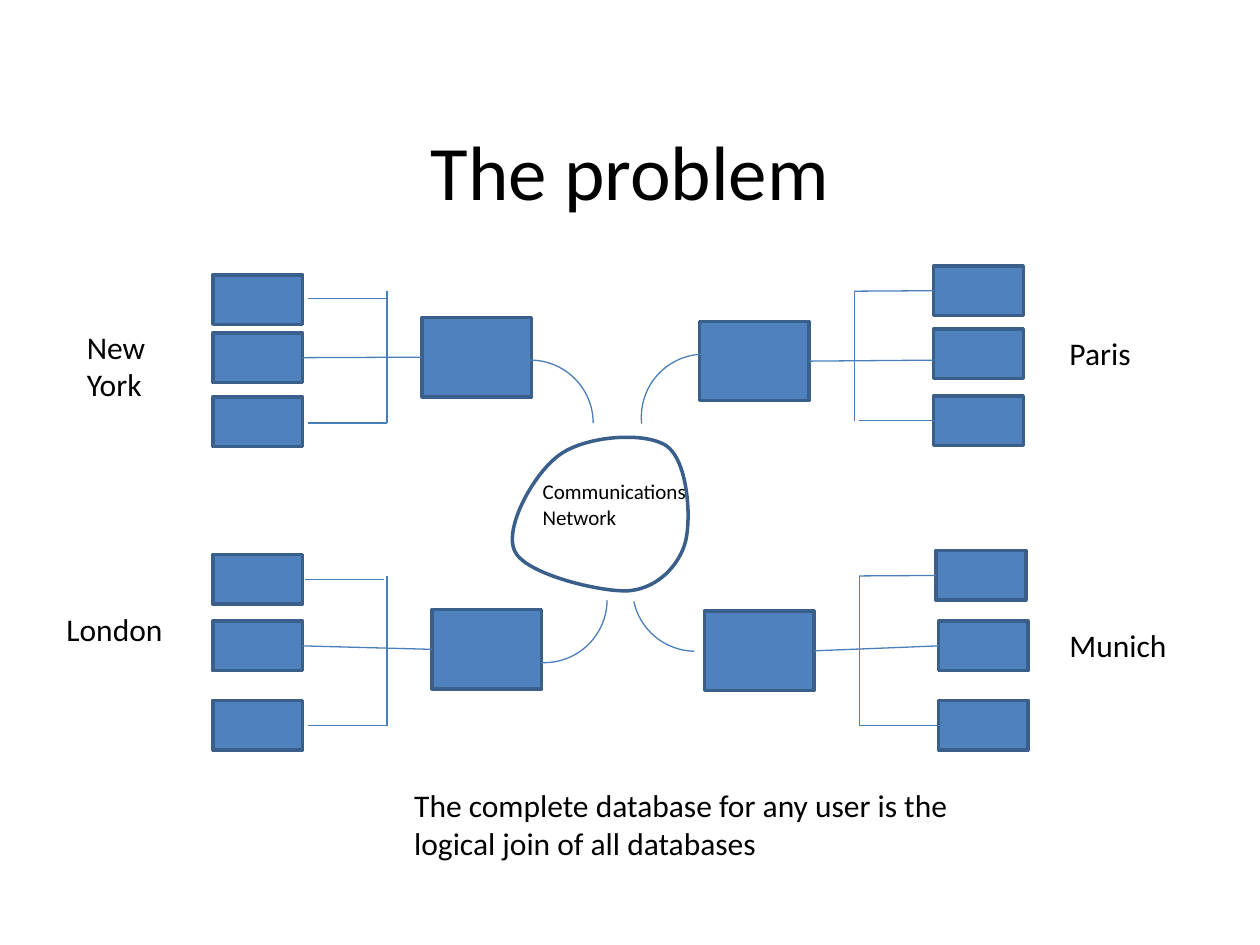
from lxml import etree
from pptx import Presentation
from pptx import util as u
from pptx.dml.color import RGBColor
from pptx.enum import shapes, text
from pptx.oxml.ns import qn


def color(hex_text):
    return RGBColor.from_string(hex_text)


class Diagram:
    """Style and current slide; every length is given in centimetres."""
    FONT, INK, PAPER = "Calibri", "000000", "FFFFFF"
    FILL, EDGE, WIRE = "4F81BD", "3A5F8B", "4A7EBB"
    TOP, LEFT, BOTTOM, RIGHT = range(4)

    def __init__(self, slide):
        self.s = slide

    def outline(self, sp, fill):
        sp.shadow.inherit = False
        sp.fill.solid()
        sp.fill.fore_color.rgb = color(fill)
        sp.line.color.rgb = color(self.EDGE)
        sp.line.width = u.Pt(2)
        return sp

    def box(self, x, y, w, h):
        sp = self.s.shapes.add_shape(shapes.MSO_SHAPE.RECTANGLE,
                                     u.Cm(x), u.Cm(y), u.Cm(w), u.Cm(h))
        return self.outline(sp, self.FILL)

    def wire(self, x1, y1, x2, y2, begin=None, end=None):
        c = self.s.shapes.add_connector(shapes.MSO_CONNECTOR.STRAIGHT,
                                        u.Cm(x1), u.Cm(y1), u.Cm(x2), u.Cm(y2))
        if begin is not None:
            c.begin_connect(*begin)
        if end is not None:
            c.end_connect(*end)
        c.line.color.rgb = color(self.WIRE)
        c.line.width = u.Pt(0.75)
        etree.SubElement(c._element.spPr, qn("a:effectLst"))

    def arc(self, x, y, start, stop):
        sp = self.s.shapes.add_shape(shapes.MSO_SHAPE.ARC, u.Cm(x), u.Cm(y),
                                     u.Cm(2.54), u.Cm(2.54))
        # One degree is 60000 units, and adjustments count in 100000
        sp.adjustments[0], sp.adjustments[1] = start * 0.6, stop * 0.6
        sp.shadow.inherit = False
        sp.fill.background()
        sp.line.color.rgb = color(self.WIRE)
        sp.line.width = u.Pt(0.75)

    def cloud(self, start, curves, steps=24):
        """Closed outline through cubic curves (control, control, end)."""
        points, p0 = [], start
        for p1, p2, p3 in curves:
            for i in range(1, steps + 1):
                t = i / steps
                points.append(tuple(
                    u.Cm((1 - t) ** 3 * a + 3 * t * (1 - t) ** 2 * b
                         + 3 * t * t * (1 - t) * c + t ** 3 * d)
                    for a, b, c, d in zip(p0, p1, p2, p3)))
            p0 = p3
        fb = self.s.shapes.build_freeform(u.Cm(start[0]), u.Cm(start[1]))
        fb.add_line_segments(points, close=True)
        self.outline(fb.convert_to_shape(), self.PAPER)

    def label(self, words, x, y, w, h, size=18, title=False):
        tf = self.s.shapes.add_textbox(u.Cm(x), u.Cm(y), u.Cm(w), u.Cm(h)).text_frame
        tf.word_wrap = True
        p = tf.paragraphs[0]
        if title:
            tf.vertical_anchor = text.MSO_ANCHOR.MIDDLE
            p.alignment = text.PP_ALIGN.CENTER
        r = p.add_run()
        r.text = words
        r.font.name, r.font.size = self.FONT, u.Pt(size)
        r.font.color.rgb = color(self.INK)


# Per site: database corners, server corner, bus (x, top, bottom)
SITES = {
    "New York": ([(4.29, 5.54), (4.29, 6.71), (4.29, 8)], (8.51, 6.4), (7.8, 5.87, 8.53)),
    "London": ([(4.29, 11.18), (4.29, 12.52), (4.29, 14.12)], (8.71, 12.29), (7.8, 11.61, 14.63)),
    "Paris": ([(18.82, 5.36), (18.82, 6.63), (18.82, 7.98)], (14.1, 6.48), (17.22, 5.87, 8.48)),
    "Munich": ([(18.87, 11.1), (18.92, 12.52), (18.92, 14.12)], (14.2, 12.32), (17.32, 11.61, 14.63)),
}
LABELS = {
    "New York": (1.5, 6.48, 2.59, 1.78), "London": (1.09, 12.17, 3, 1.02),
    "Paris": (21.31, 6.6, 2.59, 1.02), "Munich": (21.31, 12.5, 2.59, 1.02),
}


def main():
    prs = Presentation()
    prs.slide_width, prs.slide_height = u.Cm(25.4), u.Cm(19.05)
    d = Diagram(prs.slides.add_slide(prs.slide_layouts[6]))
    d.label("The problem", 1.27, 2.13, 22.86, 2.59, size=44, title=True)

    # Databases, servers and the bus of each site
    dbs, servers = {}, {}
    for site, (corners, server, (x, top, bottom)) in SITES.items():
        dbs[site] = [d.box(*corner, 1.81, 1) for corner in corners]
        servers[site] = d.box(*server, 2.21, 1.6)
        d.wire(x, top, x, bottom)

    # Wires from the left databases
    for site in ("New York", "London"):
        d.wire(6.1, 7.2, 8.5, 7.2, (dbs[site][1], d.RIGHT), (servers[site], d.LEFT))
    for x1, x2, y in ((6.2, 7.8, 6.02), (6.2, 7.8, 8.53),
                      (6.15, 7.75, 11.68), (6.2, 7.8, 14.63)):
        d.wire(x1, y, x2, y)

    # Wires to the right databases
    for x, y, site, i in ((17.22, 5.87, "Paris", 0), (17.32, 8.48, "Paris", 2),
                          (17.32, 11.61, "Munich", 0)):
        d.wire(x, y, 18.9, y, end=(dbs[site][i], d.LEFT))
    d.wire(17.32, 14.63, 19.1, 14.63)
    d.wire(16.31, 7.26, 18.82, 7.26, begin=(servers["Paris"], d.RIGHT))
    d.wire(16.41, 13.06, 18.92, 13.06, (servers["Munich"], d.RIGHT), (dbs["Munich"][1], d.LEFT))

    # Arcs from the servers to the network
    for arc in ((9.42, 7.26, 270, 0), (12.75, 10.59, 91.1, 167.9),
                (9.7, 10.82, 0.5, 92.7), (12.93, 7.14, 174.1, 269.4)):
        d.arc(*arc)

    # Communications network
    d.cloud((11.28, 9.17), [
        ((11.79, 8.79), (13, 8.69), (13.44, 8.99)),
        ((13.87, 9.3), (13.94, 10.44), (13.82, 10.92)),
        ((13.69, 11.4), (13.26, 11.86), (12.67, 11.91)),
        ((12.12, 11.94), (10.62, 11.58), (10.39, 11.13)),
        ((10.13, 10.67), (10.77, 9.53), (11.28, 9.17)),
    ])
    d.label("Communications Network", 10.69, 9.53, 3.81, 1.27, size=12)

    # Site names and conclusion
    for site, place in LABELS.items():
        d.label(site, *place)
    d.label("The complete database for any user is the logical join of all databases",
            8.1, 15.72, 12.52, 1.78)
    prs.save("out.pptx")


if __name__ == "__main__":
    main()
